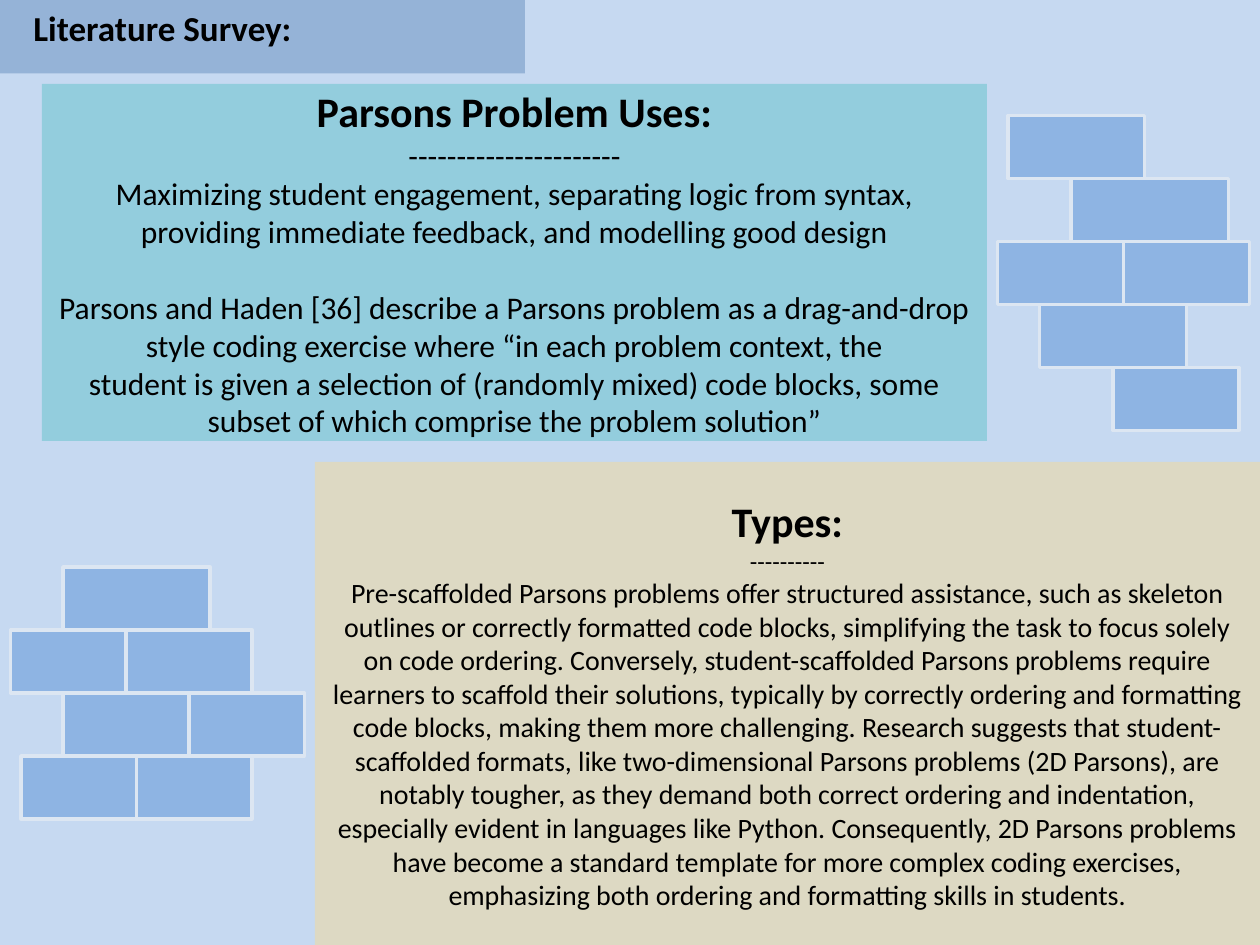
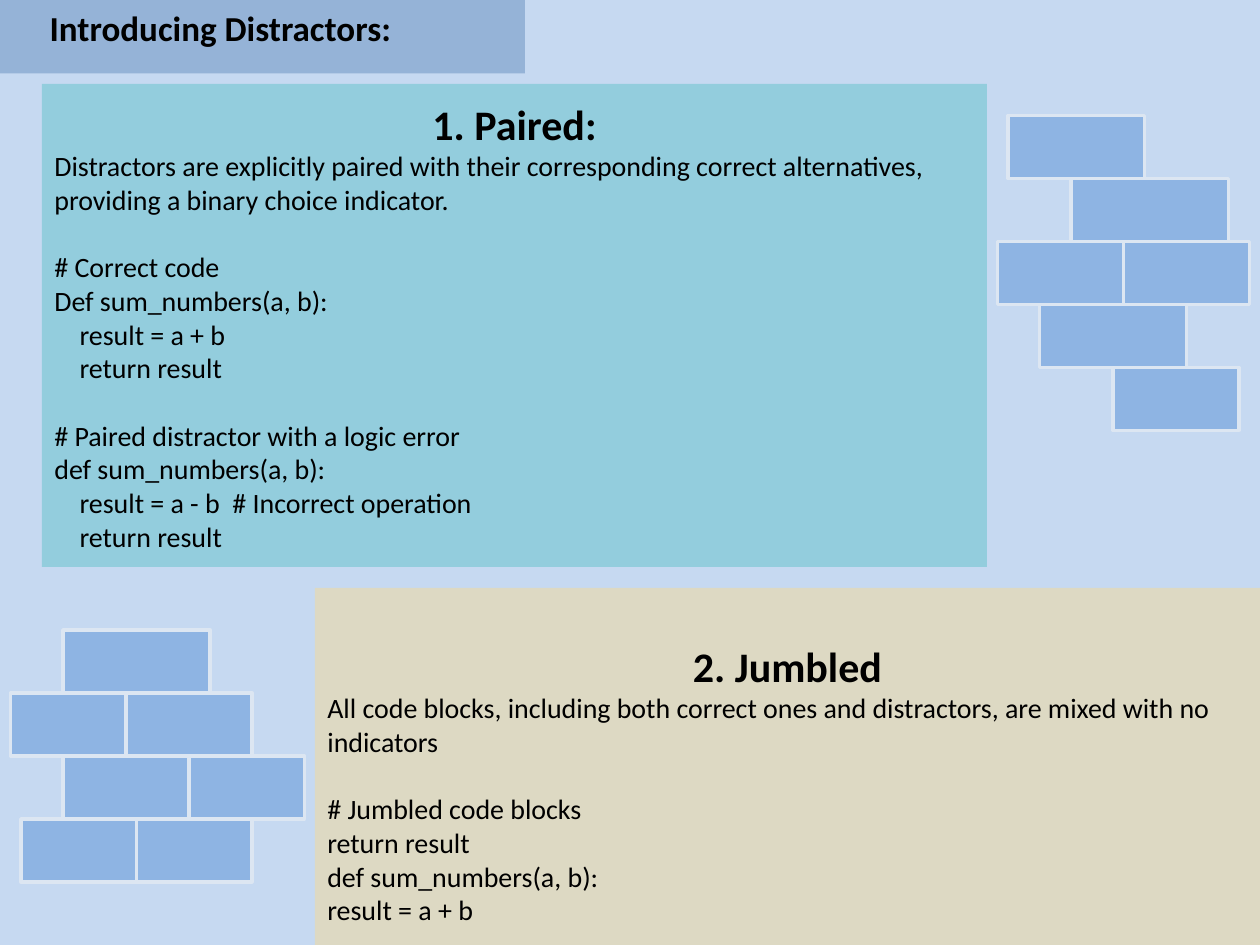
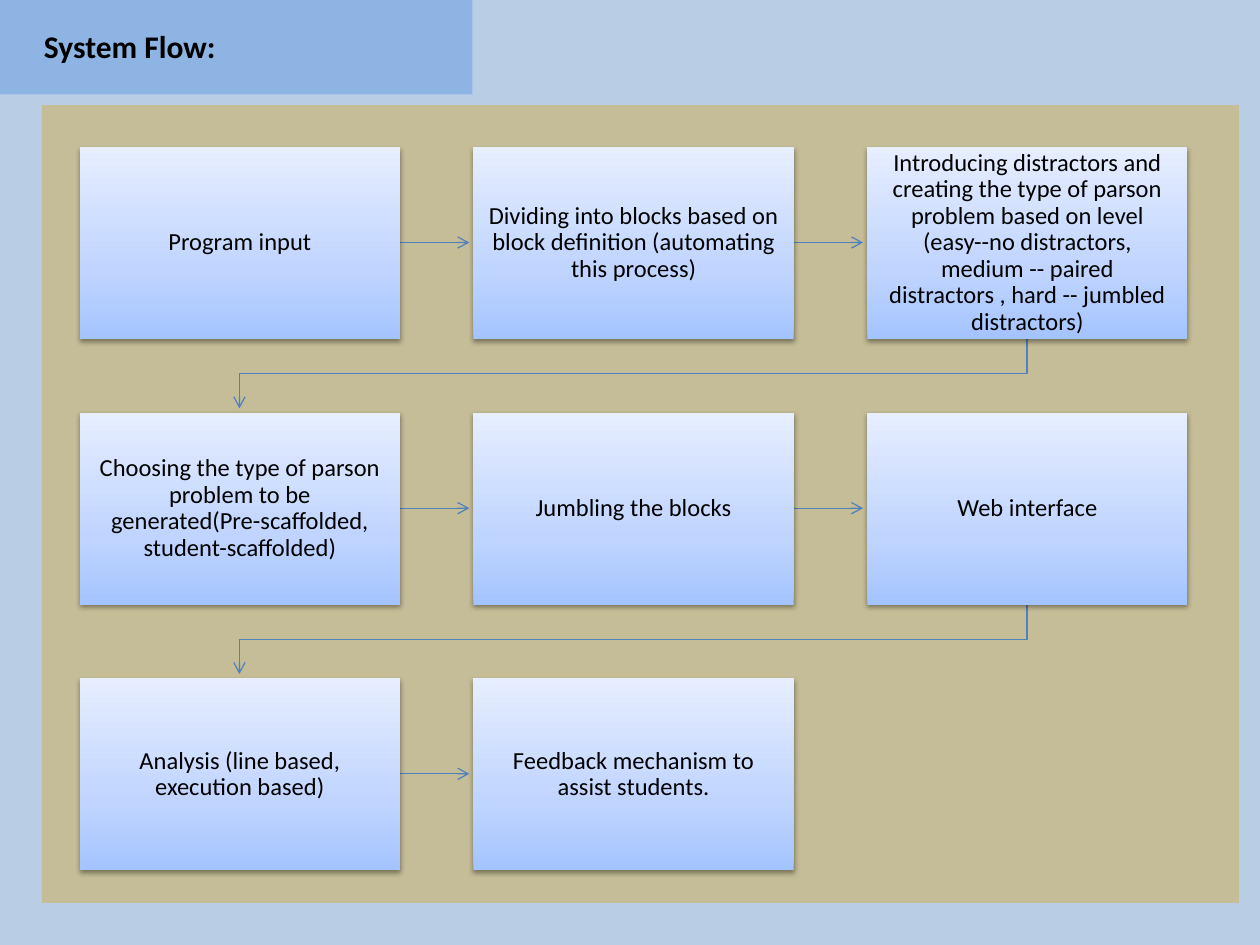
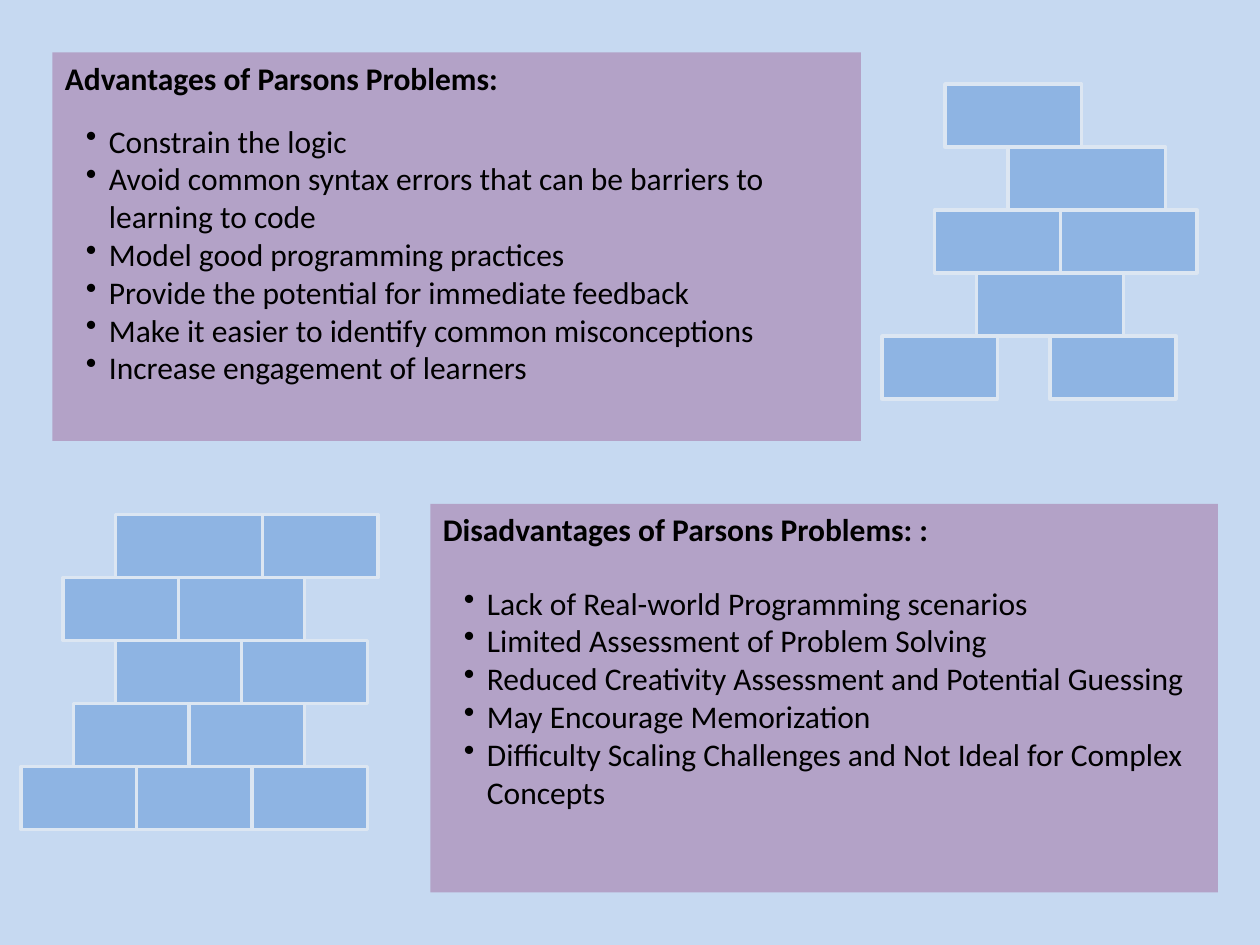
from dataclasses import dataclass
from typing import Optional

from lxml import etree
from pptx import Presentation
from pptx import util as u
from pptx.dml.color import RGBColor
from pptx.enum import shapes, text
from pptx.oxml import parse_xml
from pptx.oxml.ns import nsdecls, qn

PX = u.Inches(1) // 120  # 120 px to the inch
SLIDE_WIDTH, SLIDE_HEIGHT = 1200, 900
BRICK_HEIGHT = 60
LEFT, CENTER = text.PP_ALIGN.LEFT, text.PP_ALIGN.CENTER
TOP, MIDDLE = text.MSO_ANCHOR.TOP, text.MSO_ANCHOR.MIDDLE


# Theme
@dataclass(frozen=True)
class Theme:
    font: str = "Calibri"
    ink: str = "000000"
    sky: str = "C6D9F1"
    flow_sky: str = "B9CDE5"
    band: str = "95B3D7"
    brick: str = "8EB4E3"
    brick_edge: str = "DCE6F2"
    teal: str = "93CDDD"
    sand: str = "DDD9C3"
    khaki: str = "C4BD97"
    violet: str = "B3A2C7"
    arrow: str = "4F81BD"
    node_stops: tuple = ((0, "A4C4FF"), (35, "BFD4FF"), (100, "E6EEFF"))
    heading: int = 24
    title: int = 20
    body: int = 18
    code: int = 16
    small: int = 14
    line_height: float = 1.22


THEME = Theme()


# Parts that repeat
@dataclass(frozen=True)
class Box:
    left: int
    top: int
    width: int
    height: int

    def emu(self) -> tuple:
        return tuple(side * PX for side in (self.left, self.top, self.width, self.height))

    @property
    def center_x(self) -> int:
        return self.left + self.width // 2

    @property
    def center_y(self) -> int:
        return self.top + self.height // 2

    @property
    def right(self) -> int:
        return self.left + self.width

    @property
    def bottom(self) -> int:
        return self.top + self.height


@dataclass(frozen=True)
class Line:
    words: str
    size: int = THEME.body
    bold: bool = False
    align: text.PP_ALIGN = LEFT
    gap: bool = False  # one line of space above
    indent: int = 0
    bullet: bool = False
    spacing: Optional[float] = None


@dataclass(frozen=True)
class Course:
    """One row of bricks in a wall."""
    left: int
    widths: tuple
    gap: int = 0


RIGHT_WALL = (Course(960, (130,)), Course(1020, (150,)), Course(950, (120, 120)),
              Course(990, (140,)), Course(1060, (120,)))
LEFT_WALL = (Course(60, (140,)), Course(10, (110, 120)), Course(60, (120, 110)),
             Course(20, (110, 110)))
ADVANTAGE_WALL = (Course(900, (130,)), Course(960, (150,)), Course(890, (120, 130)),
                  Course(930, (140,)), Course(840, (110, 120), 50))
DISADVANTAGE_WALL = (Course(110, (140, 110)), Course(60, (110, 120)), Course(110, (120, 120)),
                     Course(70, (110, 110)), Course(20, (110, 110, 110)))


def heading(words: str) -> Line:
    return Line(words, THEME.heading, True, CENTER)


def centered(words: str, size: int = THEME.body, gap: bool = False) -> Line:
    return Line(words, size, align=CENTER, gap=gap)


def code(words: str, gap: bool = False, indent: int = 0) -> Line:
    return Line(words, THEME.code, gap=gap, indent=indent)


# Drawing functions
def write(text_frame, lines: list, anchor=TOP) -> None:
    text_frame.word_wrap = True
    text_frame.vertical_anchor = anchor
    text_frame.text = "\n".join(line.words for line in lines)
    for paragraph, line in zip(text_frame.paragraphs, lines):
        paragraph.alignment = line.align
        if line.gap:
            paragraph.space_before = u.Pt(round(line.size * THEME.line_height, 1))
        if line.spacing:
            paragraph.line_spacing = line.spacing
        if line.indent:
            properties = paragraph._p.get_or_add_pPr()
            properties.set("marL", str(line.indent * PX))
            if line.bullet:
                properties.set("indent", str(-line.indent * PX))
                etree.SubElement(properties, qn("a:buChar"), char="•")
        for run in paragraph.runs:
            run.font.name = THEME.font
            run.font.size = u.Pt(line.size)
            run.font.bold = line.bold
            run.font.color.rgb = RGBColor.from_string(THEME.ink)


def add_rectangle(slide, box: Box, fill: Optional[str] = None, edge: Optional[str] = None):
    shape = slide.shapes.add_shape(shapes.MSO_SHAPE.RECTANGLE, *box.emu())
    shape.shadow.inherit = False
    if fill:
        shape.fill.solid()
        shape.fill.fore_color.rgb = RGBColor.from_string(fill)
    if edge:
        shape.line.color.rgb = RGBColor.from_string(edge)
        shape.line.width = u.Pt(2)
    else:
        shape.line.fill.background()
    return shape


def add_panel(slide, box: Box, fill: str, lines: list, margin_top: int = 6) -> None:
    shape = add_rectangle(slide, box, fill)
    write(shape.text_frame, lines, MIDDLE)
    shape.text_frame.margin_top = margin_top * PX


def add_text(slide, box: Box, lines: list) -> None:
    write(slide.shapes.add_textbox(*box.emu()).text_frame, lines)


def add_wall(slide, top: int, courses: tuple) -> None:
    for row, course in enumerate(courses):
        left = course.left
        for width in course.widths:
            brick = Box(left, top + row * BRICK_HEIGHT, width, BRICK_HEIGHT)
            add_rectangle(slide, brick, THEME.brick, THEME.brick_edge)
            left += width + course.gap


def add_slide(presentation, sky: str):
    slide = presentation.slides.add_slide(presentation.slide_layouts[6])
    add_rectangle(slide, Box(0, 0, SLIDE_WIDTH, SLIDE_HEIGHT), sky)
    return slide


def add_survey_slide(presentation, title: Line, split: int, wall_top: int,
                     upper: list, lower: list, lower_margin: int = 6) -> None:
    """Title band, two text panels that part at split, and a wall beside each."""
    slide = add_slide(presentation, THEME.sky)
    add_rectangle(slide, Box(0, 0, 500, 70), THEME.band)
    add_panel(slide, Box(40, 80, 900, split - 80), THEME.teal, upper)
    lower_top = split + 20
    add_panel(slide, Box(300, lower_top, 900, SLIDE_HEIGHT - lower_top), THEME.sand,
              lower, lower_margin)
    add_text(slide, Box(20, 0, 380, 53), [title])
    add_wall(slide, wall_top, LEFT_WALL)
    add_wall(slide, 110, RIGHT_WALL)


def add_node(slide, box: Box, words: str) -> None:
    shape = add_rectangle(slide, box)
    stops = "".join(f'<a:gs pos="{position * 1000}"><a:srgbClr val="{color}"/></a:gs>'
                    for position, color in THEME.node_stops)
    properties = shape._element.spPr
    properties.find(qn("a:prstGeom")).addnext(parse_xml(
        f'<a:gradFill {nsdecls("a")} rotWithShape="1"><a:gsLst>{stops}</a:gsLst>'
        '<a:lin ang="16200000" scaled="0"/></a:gradFill>'))
    properties.find(qn("a:effectLst")).append(parse_xml(
        f'<a:outerShdw {nsdecls("a")} blurRad="40000" dist="20000" dir="5400000" '
        'rotWithShape="0"><a:srgbClr val="000000"><a:alpha val="38000"/></a:srgbClr>'
        '</a:outerShdw>'))
    frame = shape.text_frame
    write(frame, [Line(words, THEME.small, align=CENTER, spacing=0.9)], MIDDLE)
    frame.margin_left = frame.margin_right = frame.margin_top = frame.margin_bottom = 13 * PX


def add_arrow(slide, start: Box, end: Box) -> None:
    """Straight arrow within a row, or an elbow down to the start of the next row."""
    clearance = 4
    if start.top == end.top:
        kind = shapes.MSO_CONNECTOR.STRAIGHT
        points = (start.right, start.center_y, end.left - clearance, end.center_y)
    else:
        kind = shapes.MSO_CONNECTOR.ELBOW
        drop = end.top - clearance - start.bottom
        span = start.center_x - end.center_x
        middle_x = (start.center_x + end.center_x) // 2
        middle_y = start.bottom + drop // 2
        points = (middle_x - drop // 2, middle_y - span // 2,
                  middle_x + drop // 2, middle_y + span // 2)
    connector = slide.shapes.add_connector(kind, *(point * PX for point in points))
    connector.line.color.rgb = RGBColor.from_string(THEME.arrow)
    connector.line.width = u.Pt(0.75)
    properties = connector._element.spPr
    if kind == shapes.MSO_CONNECTOR.ELBOW:
        properties.find(qn("a:xfrm")).set("rot", "5400000")
    etree.SubElement(properties.find(qn("a:ln")), qn("a:tailEnd"), type="arrow")
    etree.SubElement(properties, qn("a:effectLst"))


# Slides
def build_literature(presentation) -> None:
    add_survey_slide(
        presentation, Line("Literature Survey:", THEME.title, True), 420, 540,
        [heading("Parsons Problem Uses:"),
         centered("-" * 22),
         centered("Maximizing student engagement, separating logic from syntax, "
                  "providing immediate feedback, and modelling good design"),
         centered("Parsons and Haden [36] describe a Parsons problem as a drag-and-drop "
                  "style coding exercise where “in each problem context, the", gap=True),
         centered("student is given a selection of (randomly mixed) code blocks, some"),
         centered("subset of which comprise the problem solution”")],
        [heading("Types:"),
         centered("-" * 10, THEME.small),
         centered("Pre-scaffolded Parsons problems offer structured assistance, such as "
                  "skeleton outlines or correctly formatted code blocks, simplifying the task "
                  "to focus solely on code ordering. Conversely, student-scaffolded Parsons "
                  "problems require learners to scaffold their solutions, typically by "
                  "correctly ordering and formatting code blocks, making them more "
                  "challenging. Research suggests that student-scaffolded formats, like "
                  "two-dimensional Parsons problems (2D Parsons), are notably tougher, as they "
                  "demand both correct ordering and indentation, especially evident in "
                  "languages like Python. Consequently, 2D Parsons problems have become a "
                  "standard template for more complex coding exercises, emphasizing both "
                  "ordering and formatting skills in students.", THEME.code)])


def build_distractors(presentation) -> None:
    add_survey_slide(
        presentation, Line("Introducing Distractors:", THEME.title, True, CENTER), 540, 600,
        [heading("1. Paired:"),
         code("Distractors are explicitly paired with their corresponding correct "
              "alternatives, providing a binary choice indicator."),
         code("# Correct code", gap=True),
         code("Def sum_numbers(a, b):"),
         code("result = a + b", indent=24),
         code("return result", indent=24),
         code("# Paired distractor with a logic error", gap=True),
         code("def sum_numbers(a, b):"),
         code("result = a - b  # Incorrect operation", indent=24),
         code("return result", indent=24)],
        [heading("2. Jumbled"),
         code("All code blocks, including both correct ones and distractors, are mixed "
              "with no indicators"),
         code("# Jumbled code blocks", gap=True),
         code("return result"),
         code("def sum_numbers(a, b):"),
         code("result = a + b")],
        lower_margin=38)


def build_flow(presentation) -> None:
    slide = add_slide(presentation, THEME.flow_sky)
    add_rectangle(slide, Box(0, 0, 450, 90), THEME.brick)
    add_rectangle(slide, Box(40, 100, 1140, 760), THEME.khaki)
    add_text(slide, Box(30, 20, 260, 48), [Line("System Flow:", bold=True)])
    steps = [
        "Program input",
        "Dividing into blocks based on block definition (automating this process)",
        "Introducing distractors and creating the type of parson problem based on level "
        "(easy--no distractors, medium -- paired distractors , hard -- jumbled distractors)",
        "Choosing the type of parson problem to be generated(Pre-scaffolded, "
        "student-scaffolded)",
        "Jumbling the blocks",
        "Web interface",
        "Analysis (line based, execution based)",
        "Feedback mechanism to assist students.",
    ]
    columns, column_pitch, row_pitch = 3, 375, 253
    boxes = [Box(76 + index % columns * column_pitch, 140 + index // columns * row_pitch, 305, 183)
             for index in range(len(steps))]
    for start, end in zip(boxes, boxes[1:]):
        add_arrow(slide, start, end)
    for box, words in zip(boxes, steps):
        add_node(slide, box, words)


def build_verdict(presentation) -> None:
    slide = add_slide(presentation, THEME.sky)
    sections = [
        (Box(50, 50, 770, 370), "Advantages of Parsons Problems:", Box(70, 110, 730, 266),
         ["Constrain the logic",
          "Avoid common syntax errors that can be barriers to learning to code",
          "Model good programming practices",
          "Provide the potential for immediate feedback",
          "Make it easier to identify common misconceptions",
          "Increase engagement of learners"]),
        (Box(410, 480, 750, 370), "Disadvantages of Parsons Problems: :", Box(430, 550, 720, 230),
         ["Lack of Real-world Programming scenarios",
          "Limited Assessment of Problem Solving",
          "Reduced Creativity Assessment and Potential Guessing",
          "May Encourage Memorization",
          "Difficulty Scaling Challenges and Not Ideal for Complex Concepts"]),
    ]
    for panel, title, list_box, points in sections:
        add_rectangle(slide, panel, THEME.violet)
        add_text(slide, Box(panel.left, panel.top, 600, 48), [Line(title, bold=True)])
        add_text(slide, list_box, [Line(point, indent=22, bullet=True) for point in points])
    add_wall(slide, 80, ADVANTAGE_WALL)
    add_wall(slide, 490, DISADVANTAGE_WALL)


def main() -> None:
    presentation = Presentation()
    presentation.slide_width = SLIDE_WIDTH * PX
    presentation.slide_height = SLIDE_HEIGHT * PX
    for build in (build_literature, build_distractors, build_flow, build_verdict):
        build(presentation)
    presentation.save("out.pptx")


if __name__ == "__main__":
    main()
